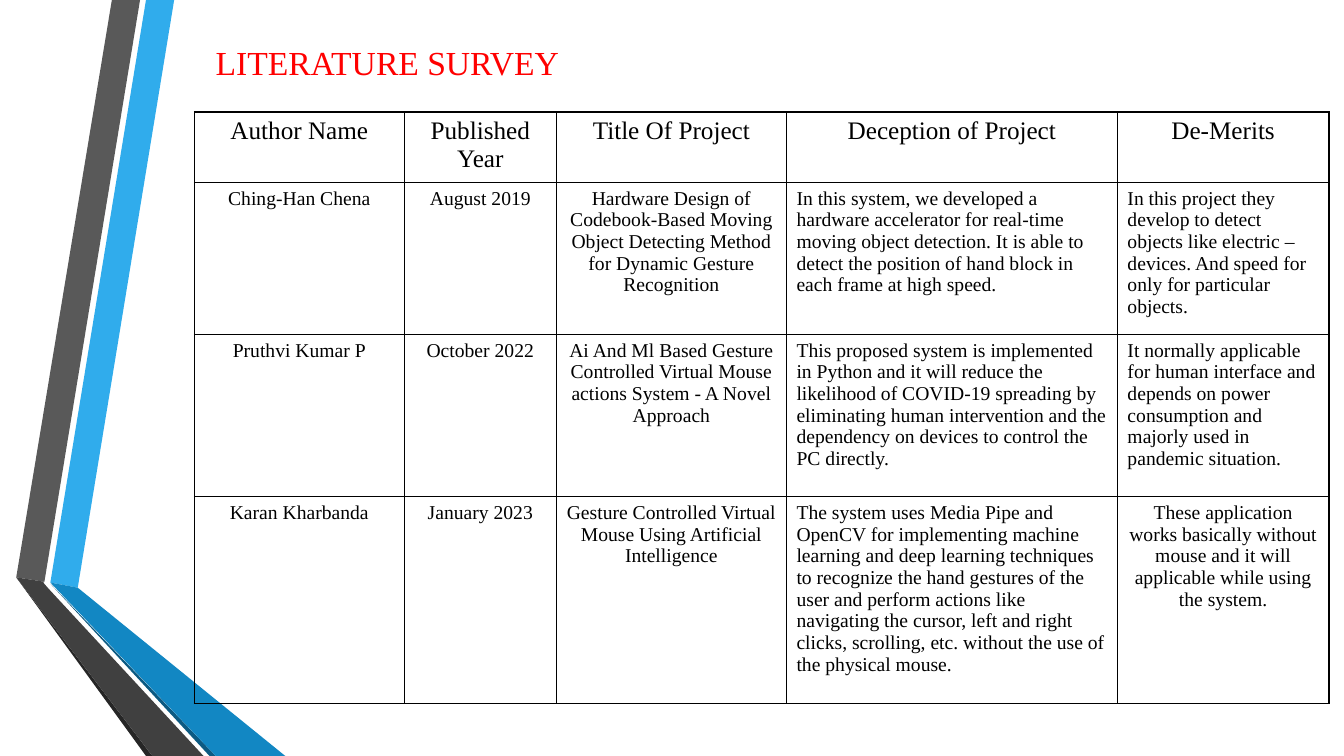
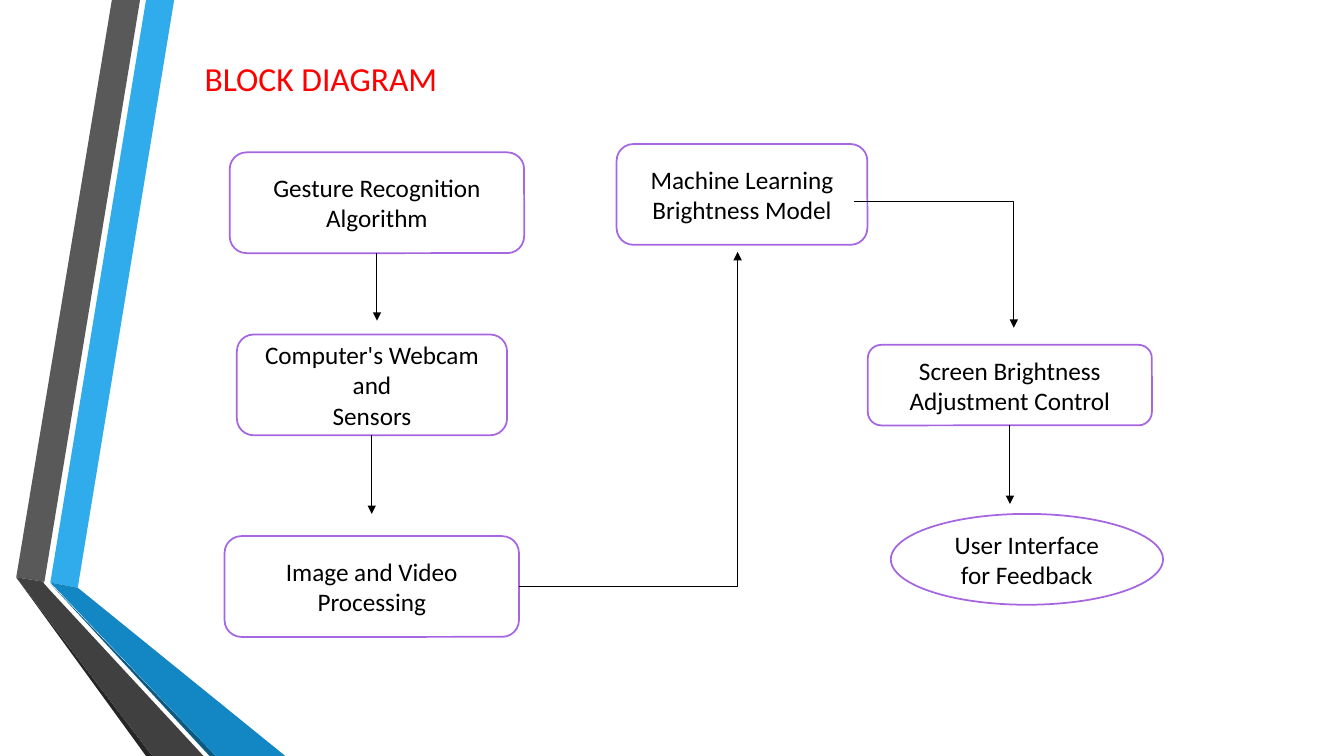
from dataclasses import dataclass

import lxml.etree
import pptx
import pptx.dml.color
import pptx.enum.shapes
import pptx.enum.text
import pptx.oxml.ns
import pptx.presentation
import pptx.shapes.autoshape
import pptx.slide
import pptx.text.text
import pptx.util

Cm = pptx.util.Cm
Pt = pptx.util.Pt
RGBColor = pptx.dml.color.RGBColor
Shape = pptx.enum.shapes.MSO_SHAPE
Connector = pptx.enum.shapes.MSO_CONNECTOR
Align = pptx.enum.text.PP_ALIGN
Anchor = pptx.enum.text.MSO_ANCHOR
qn = pptx.oxml.ns.qn

BLACK = RGBColor(0x00, 0x00, 0x00)
WHITE = RGBColor(0xFF, 0xFF, 0xFF)
RED = RGBColor(0xFF, 0x00, 0x00)
PURPLE = RGBColor(0xA6, 0x66, 0xE1)
SKY = RGBColor(0x30, 0xAC, 0xEC)
BLUE = RGBColor(0x12, 0x87, 0xC3)
NAVY = RGBColor(0x0C, 0x5A, 0x82)
GRAY = RGBColor(0x59, 0x59, 0x59)
CHARCOAL = RGBColor(0x40, 0x40, 0x40)
DARK = RGBColor(0x26, 0x26, 0x26)

SERIF = "Times New Roman"
SANS = "Calibri"
TITLE_ONLY = 5
Point = tuple[float, float]


@dataclass(frozen=True)
class Band:
    color: RGBColor
    points: list[Point]


@dataclass(frozen=True)
class Block:
    text: str
    left: float
    top: float
    width: float
    height: float = 2.54
    kind: Shape = Shape.ROUNDED_RECTANGLE


@dataclass(frozen=True)
class Arrow:
    start: Point
    end: Point


BANDS = [
    Band(SKY, [(1.27, 14.68), (1.96, 14.81), (4.39, 0), (3.68, 0)]),
    Band(GRAY, [(3.53, 0), (2.82, 0), (0.41, 14.55), (1.12, 14.66)]),
    Band(DARK, [(0.41, 14.55), (3.68, 19.05), (3.84, 19.05)]),
    Band(NAVY, [(1.27, 14.71), (5.28, 19.05), (5.44, 19.05)]),
    Band(BLUE, [(1.27, 14.68), (5.44, 19.05), (7.19, 19.05), (1.96, 14.81)]),
    Band(CHARCOAL, [(5.13, 19.05), (1.22, 14.83), (1.09, 14.68),
                    (1.12, 14.66), (0.41, 14.55), (3.84, 19.05)]),
]

COLUMN_WIDTHS = [5.29, 3.83, 5.8, 8.34, 5.33]
ROW_HEIGHTS = [1.78, 3.83, 4.09, 5.21]
LEFT_ALIGNED = {(1, 3), (1, 4), (2, 3), (2, 4), (3, 3)}
SURVEY = [
    ["Author Name", "Published Year", "Title Of Project",
     "Deception of Project", "De-Merits"],
    ["Ching‐Han Chena", "August 2019",
     "Hardware Design of Codebook‐Based Moving Object Detecting Method "
     "for Dynamic Gesture Recognition",
     "In this system, we developed a hardware accelerator for real-time "
     "moving object detection. It is able to detect the position of hand "
     "block in each frame at high speed.",
     "In this project they develop to detect objects like electric "
     "–devices. And speed for only for particular objects."],
    ["Pruthvi Kumar P", "October 2022",
     "Ai And Ml Based Gesture Controlled Virtual Mouse actions System "
     "- A Novel Approach",
     "This proposed system is implemented in Python and it will reduce the "
     "likelihood of COVID-19 spreading by eliminating human intervention "
     "and the dependency on devices to control the PC directly.",
     "It normally applicable for human interface and depends on power "
     "consumption and majorly used in pandemic situation."],
    ["Karan Kharbanda", "January 2023",
     "Gesture Controlled Virtual Mouse Using Artificial Intelligence",
     "The system uses Media Pipe and OpenCV for implementing machine "
     "learning and deep learning techniques to recognize the hand gestures "
     "of the user and perform actions like navigating the cursor, left and "
     "right clicks, scrolling, etc. without the use of the physical mouse.",
     "These application works basically without mouse and it will "
     "applicable while using the system."],
]

BLOCKS = [
    Block("Gesture Recognition Algorithm", 5.79, 3.84, 7.42),
    Block("Computer's Webcam and\nSensors", 5.97, 8.43, 6.81),
    Block("Image and Video Processing", 5.66, 13.51, 7.42),
    Block("Machine Learning Brightness Model", 15.54, 3.63, 6.32),
    Block("Screen Brightness Adjustment Control", 21.87, 8.69, 7.16, 2.03),
    Block("User Interface for Feedback", 22.45, 12.95, 6.86, 2.29, Shape.OVAL),
]
ARROWS = [
    Arrow((9.5, 6.38), (9.5, 8.08)),
    Arrow((9.37, 10.97), (9.37, 12.95)),
    Arrow((13.08, 14.78), (18.59, 6.35)),
    Arrow((21.51, 5.08), (25.55, 8.26)),
    Arrow((25.45, 10.72), (25.45, 12.7)),
]


def format_text(frame: pptx.text.text.TextFrame, font: str, size: int,
                color: RGBColor, alignment: Align) -> None:
    for paragraph in frame.paragraphs:
        paragraph.alignment = alignment
        paragraph.font.name = font
        paragraph.font.size = Pt(size)
        paragraph.font.color.rgb = color


def add_band(slide: pptx.slide.Slide, band: Band) -> pptx.shapes.autoshape.Shape:
    points = [(Cm(x), Cm(y)) for x, y in band.points]
    builder = slide.shapes.build_freeform(*points[0])
    builder.add_line_segments(points[1:])
    shape = builder.convert_to_shape()
    shape.shadow.inherit = False
    shape.fill.solid()
    shape.fill.fore_color.rgb = band.color
    shape.line.fill.background()
    return shape


def move_bands_to_layout(slide: pptx.slide.Slide) -> None:
    for band in BANDS:
        shape = add_band(slide, band)
        slide.slide_layout.shapes.element.append(shape.element)


def add_titled_slide(presentation: pptx.presentation.Presentation, text: str,
                     font: str, left: float, top: float,
                     width: float) -> pptx.slide.Slide:
    slide = presentation.slides.add_slide(presentation.slide_layouts[TITLE_ONLY])
    title = slide.shapes.title
    title.left, title.top = Cm(left), Cm(top)
    title.width, title.height = Cm(width), Cm(1.28)
    frame = title.text_frame
    frame.text = text
    frame.auto_size = pptx.enum.text.MSO_AUTO_SIZE.NONE
    frame.vertical_anchor = Anchor.TOP
    format_text(frame, font, 24, RED, Align.LEFT)
    return slide


def add_cell_borders(cell_properties: lxml.etree.ElementBase) -> None:
    for side in ("a:lnL", "a:lnR", "a:lnT", "a:lnB"):
        line = lxml.etree.SubElement(cell_properties, qn(side), w=str(Pt(1)))
        fill = lxml.etree.SubElement(line, qn("a:solidFill"))
        lxml.etree.SubElement(fill, qn("a:srgbClr"), val=str(BLACK))


def add_survey_table(slide: pptx.slide.Slide) -> None:
    graphic_frame = slide.shapes.add_table(
        len(SURVEY), len(COLUMN_WIDTHS), Cm(4.9), Cm(2.82),
        Cm(sum(COLUMN_WIDTHS)), Cm(sum(ROW_HEIGHTS)))
    table = graphic_frame.table
    table.first_row = table.horz_banding = False
    for column, width in zip(table.columns, COLUMN_WIDTHS):
        column.width = Cm(width)
    for row, height in zip(table.rows, ROW_HEIGHTS):
        row.height = Cm(height)
    for cell_properties in graphic_frame.element.iter(qn("a:tcPr")):
        add_cell_borders(cell_properties)
    for row_index, texts in enumerate(SURVEY):
        for column_index, text in enumerate(texts):
            cell = table.cell(row_index, column_index)
            cell.fill.background()
            cell.text = text
            is_left = (row_index, column_index) in LEFT_ALIGNED
            format_text(cell.text_frame, SERIF, 14 if row_index else 18, BLACK,
                        Align.LEFT if is_left else Align.CENTER)


def add_block(slide: pptx.slide.Slide, block: Block) -> None:
    shape = slide.shapes.add_shape(block.kind, Cm(block.left), Cm(block.top),
                                   Cm(block.width), Cm(block.height))
    shape.shadow.inherit = False
    shape.fill.solid()
    shape.fill.fore_color.rgb = WHITE
    shape.line.color.rgb = PURPLE
    shape.line.width = Pt(1.25)
    frame = shape.text_frame
    frame.text = block.text
    frame.word_wrap = True
    frame.vertical_anchor = Anchor.MIDDLE
    format_text(frame, SANS, 18, BLACK, Align.CENTER)


def add_arrow(slide: pptx.slide.Slide, arrow: Arrow) -> None:
    is_straight = arrow.start[0] == arrow.end[0]
    connector = slide.shapes.add_connector(
        Connector.STRAIGHT if is_straight else Connector.ELBOW,
        *map(Cm, arrow.start + arrow.end))
    connector.line.color.rgb = BLACK
    connector.line.width = Pt(0.75)
    properties = connector.element.spPr
    if not is_straight:
        properties.find(qn("a:prstGeom")).set("prst", "bentConnector2")
    lxml.etree.SubElement(properties.find(qn("a:ln")), qn("a:tailEnd"),
                          type="triangle")
    lxml.etree.SubElement(properties, qn("a:effectLst"))


def main() -> None:
    presentation = pptx.Presentation()
    presentation.slide_width = Cm(33.87)
    presentation.slide_height = Cm(19.05)

    survey_slide = add_titled_slide(presentation, "LITERATURE SURVEY", SERIF,
                                    5.18, 0.94, 20.4)
    move_bands_to_layout(survey_slide)
    add_survey_table(survey_slide)

    diagram_slide = add_titled_slide(presentation, "BLOCK DIAGRAM", SANS,
                                     4.9, 1.32, 11.1)
    for block in BLOCKS:
        add_block(diagram_slide, block)
    for arrow in ARROWS:
        add_arrow(diagram_slide, arrow)

    presentation.save("out.pptx")


if __name__ == "__main__":
    main()
